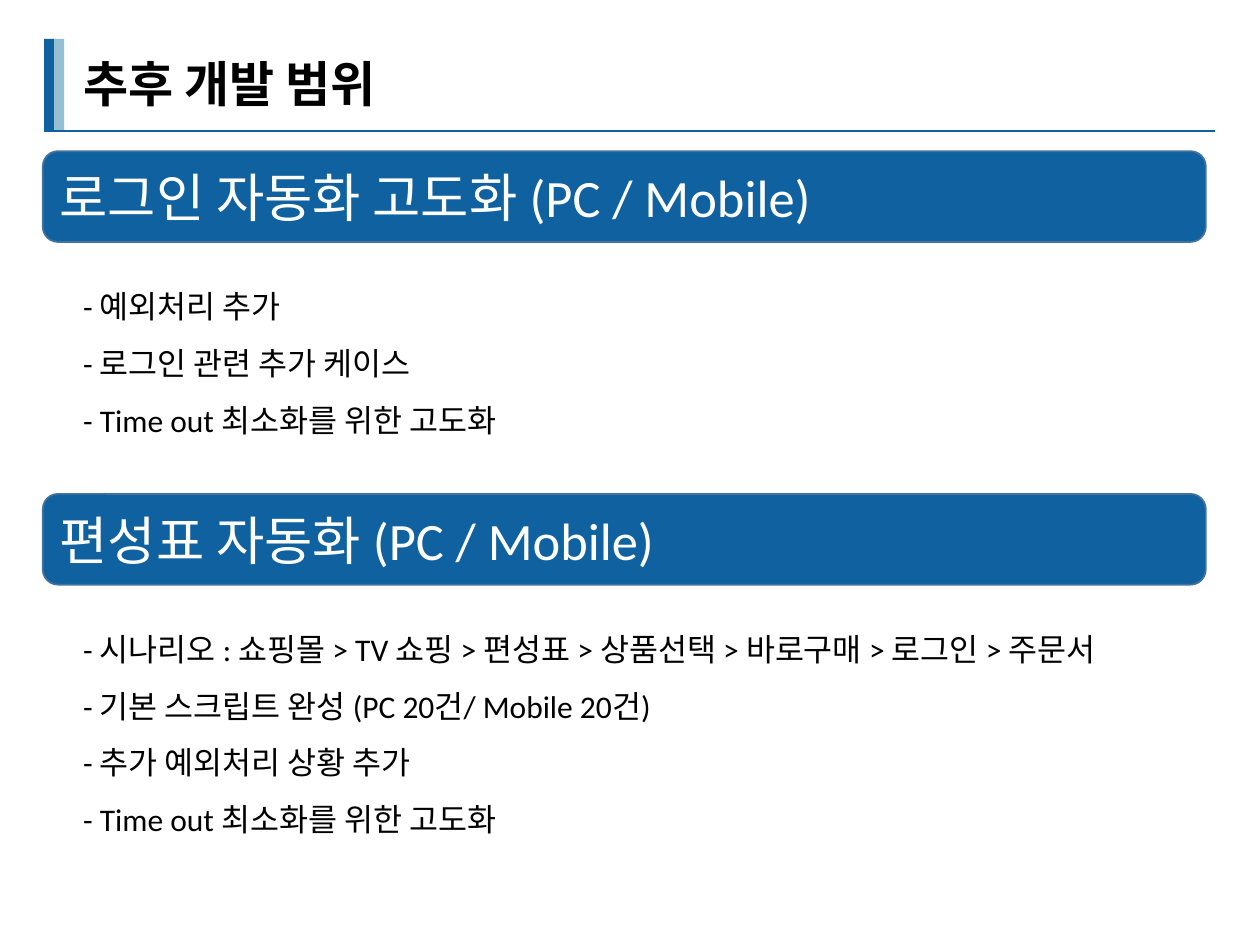
from lxml import etree
from pptx import Presentation
from pptx.dml.color import RGBColor
from pptx.enum.shapes import MSO_CONNECTOR, MSO_SHAPE
from pptx.enum.text import MSO_ANCHOR, MSO_AUTO_SIZE, PP_ALIGN
from pptx.oxml.ns import qn
from pptx.util import Inches, Pt

RECTANGLE = MSO_SHAPE.RECTANGLE
ROUNDED = MSO_SHAPE.ROUNDED_RECTANGLE
STRAIGHT = MSO_CONNECTOR.STRAIGHT
MIDDLE, TOP = MSO_ANCHOR.MIDDLE, MSO_ANCHOR.TOP
LEFT = PP_ALIGN.LEFT
NO_AUTOFIT = MSO_AUTO_SIZE.NONE

BLUE = RGBColor(0x0F, 0x61, 0x9F)
PALE_BLUE = RGBColor(0x96, 0xBF, 0xD1)
EDGE_BLUE = RGBColor(0x43, 0x73, 0x9E)
BLACK = RGBColor(0, 0, 0)
WHITE = RGBColor(255, 255, 255)
FONT = "Calibri"
TWO_CONTENT_LAYOUT = 3

TITLE = "추후 개발 범위"
SECTIONS = [
    {
        "heading": "로그인 자동화 고도화 (PC / Mobile)",
        "top": 1.2,
        "size": (7, 1.46),
        "items": [
            "- 예외처리 추가",
            "- 로그인 관련 추가 케이스",
            "- Time out 최소화를 위한 고도화",
        ],
    },
    {
        "heading": "편성표 자동화 (PC / Mobile)",
        "top": 3.92,
        "size": (8.85, 1.92),
        "items": [
            "- 시나리오 : 쇼핑몰 > TV 쇼핑 > 편성표 > 상품선택 > 바로구매 > 로그인 > 주문서",
            "- 기본 스크립트 완성 (PC 20건/ Mobile 20건)",
            "- 추가 예외처리 상황 추가",
            "- Time out 최소화를 위한 고도화",
        ],
    },
]

BAR_LEFT, BAR_TOP, BAR_WIDTH, BAR_HEIGHT = 0.35, 0.31, 0.08, 0.73
RULE_RIGHT = 9.64
TEXT_LEFT = 0.56
HEADING_LEFT, HEADING_WIDTH, HEADING_HEIGHT = 0.34, 9.23, 0.72
LIST_OFFSET = 0.88


def place(shape, left, top, width, height):
    shape.left, shape.top = Inches(left), Inches(top)
    shape.width, shape.height = Inches(width), Inches(height)


def write(shape, text, size, color, anchor, bold=False, spacing=1.0):
    frame = shape.text_frame
    frame.text = text
    frame.word_wrap = True
    frame.auto_size = NO_AUTOFIT
    frame.vertical_anchor = anchor
    for para in frame.paragraphs:
        para.alignment = LEFT
        para.line_spacing = spacing
        para.space_before = Pt(0)
        for span in para.runs:
            span.font.name = FONT
            span.font.size = Pt(size)
            span.font.bold = bold
            span.font.color.rgb = color


def remove_bullets(shape):
    for para in shape.text_frame.paragraphs:
        properties = para._p.get_or_add_pPr()
        properties.set("marL", "0")
        properties.set("indent", "0")
        etree.SubElement(properties, qn("a:buNone"))


def add_block(page, kind, left, top, width, height, fill):
    block = page.shapes.add_shape(
        kind, Inches(left), Inches(top), Inches(width), Inches(height))
    block.shadow.inherit = False
    block.fill.solid()
    block.fill.fore_color.rgb = fill
    block.line.fill.background()
    return block


def add_title(page):
    for index, color in enumerate((BLUE, PALE_BLUE)):
        add_block(page, RECTANGLE, BAR_LEFT + index * BAR_WIDTH, BAR_TOP,
                  BAR_WIDTH, BAR_HEIGHT, color)
    rule_top = Inches(BAR_TOP + BAR_HEIGHT)
    rule = page.shapes.add_connector(
        STRAIGHT, Inches(BAR_LEFT), rule_top, Inches(RULE_RIGHT), rule_top)
    rule.line.color.rgb = BLUE
    rule.line.width = Pt(1.25)
    etree.SubElement(rule._element.spPr, qn("a:effectLst"))
    title = page.shapes.title
    place(title, TEXT_LEFT, 0.34, 9.09, 0.69)
    write(title, TITLE, 28, BLACK, MIDDLE, bold=True, spacing=0.9)


def add_section(page, section, body):
    heading = add_block(page, ROUNDED, HEADING_LEFT, section["top"],
                        HEADING_WIDTH, HEADING_HEIGHT, BLUE)
    heading.line.color.rgb = EDGE_BLUE
    heading.line.width = Pt(1)
    write(heading, section["heading"], 30, WHITE, MIDDLE)
    place(body, TEXT_LEFT, section["top"] + LIST_OFFSET, *section["size"])
    write(body, "\n".join(section["items"]), 18, BLACK, TOP, spacing=1.5)
    remove_bullets(body)


def main():
    deck = Presentation()
    deck.slide_width, deck.slide_height = Inches(10), Inches(7.5)
    page = deck.slides.add_slide(deck.slide_layouts[TWO_CONTENT_LAYOUT])
    add_title(page)
    for index, section in enumerate(SECTIONS, start=1):
        add_section(page, section, page.placeholders[index])
    deck.save("out.pptx")


if __name__ == "__main__":
    main()
